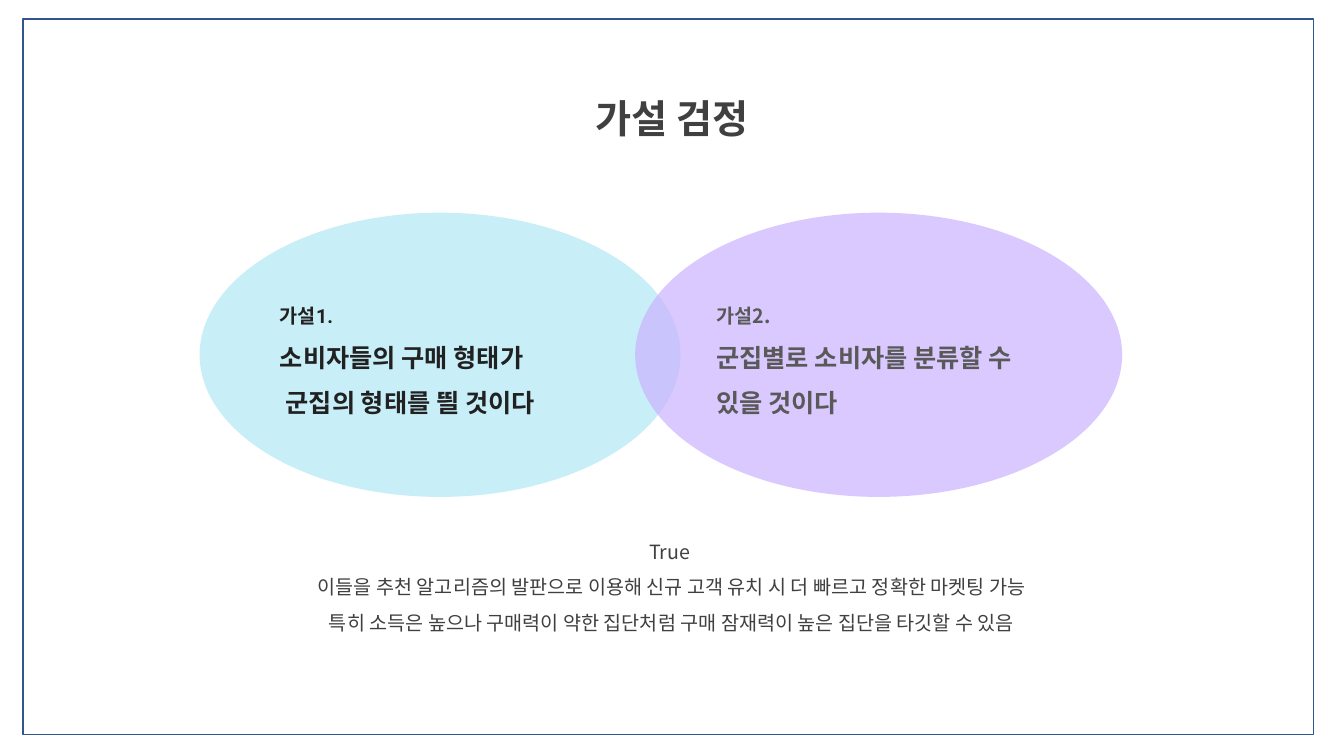
from dataclasses import dataclass

from lxml import etree
from pptx import Presentation
from pptx.dml.color import RGBColor
from pptx.enum.shapes import MSO_SHAPE as SHAPE
from pptx.enum.text import MSO_ANCHOR as ANCHOR, PP_ALIGN as ALIGN
from pptx.oxml.ns import qn
from pptx.util import Inches, Pt


@dataclass(frozen=True)
class Theme:
    font: str = "Noto Sans CJK KR"
    latin_font: str = "Roboto"
    text: str = "404040"
    first_text: str = "212121"
    second_text: str = "595959"
    first_fill: str = "C8EFF8"
    second_fill: str = "CBB3FF"
    frame: str = "325491"
    title_size: int = 28
    statement_size: int = 18
    body_size: int = 14
    line_spacing: float = 1.5


class SlideBuilder:
    def __init__(self, slide, theme):
        self.slide = slide
        self.theme = theme

    def fill_text(self, tf, lines, color, align, bold=False, font=None):
        """Fill a text frame with (text, size) pairs, one paragraph each."""
        tf.word_wrap = True
        for i, (text, size) in enumerate(lines):
            p = tf.add_paragraph() if i else tf.paragraphs[0]
            p.alignment = align
            p.line_spacing = self.theme.line_spacing
            r = p.add_run()
            r.text = text
            r.font.name = font or self.theme.font
            r.font.size = Pt(size)
            r.font.bold = bold
            r.font.color.rgb = RGBColor.from_string(color)
            ea = etree.SubElement(r.font._element, qn("a:ea"))
            ea.set("typeface", self.theme.font)

    def text_box(self, box, lines, bold=False):
        sp = self.slide.shapes.add_textbox(*map(Inches, box))
        self.fill_text(sp.text_frame, lines, self.theme.text, ALIGN.CENTER, bold)

    def shape(self, kind, box):
        sp = self.slide.shapes.add_shape(kind, *map(Inches, box))
        sp.shadow.inherit = False
        return sp

    def ellipse(self, box, fill, lines, color, font=None, opacity=100):
        sp = self.shape(SHAPE.OVAL, box)
        sp.fill.solid()
        sp.fill.fore_color.rgb = RGBColor.from_string(fill)
        sp.line.fill.background()
        if opacity < 100:
            clr = sp._element.spPr.find(qn("a:solidFill")).find(qn("a:srgbClr"))
            etree.SubElement(clr, qn("a:alpha")).set("val", str(opacity * 1000))
        sp.text_frame.vertical_anchor = ANCHOR.MIDDLE
        self.fill_text(sp.text_frame, lines, color, ALIGN.LEFT, True, font)

    def frame(self, box):
        sp = self.shape(SHAPE.RECTANGLE, box)
        sp.fill.background()
        sp.line.color.rgb = RGBColor.from_string(self.theme.frame)
        sp.line.width = Pt(1)


def main():
    prs = Presentation()
    prs.slide_width, prs.slide_height = Inches(13.33), Inches(7.5)
    theme = Theme()
    s = SlideBuilder(prs.slides.add_slide(prs.slide_layouts[6]), theme)
    body, statement = theme.body_size, theme.statement_size

    s.text_box((4.35, 0.65, 4.63, 0.72), [("가설 검정", theme.title_size)], bold=True)
    s.text_box((2.5, 5.19, 8.33, 1.47), [
        ("True ", body),
        ("이들을 추천 알고리즘의 발판으로 이용해 신규 고객 유치 시 더 빠르고 정확한 마켓팅 가능", body),
        ("특히 소득은 높으나 구매력이 약한 집단처럼 구매 잠재력이 높은 집단을 타깃할 수 있음", body),
    ])
    s.ellipse((1.98, 2.11, 4.77, 2.82), theme.first_fill, [
        ("가설1.", body),
        ("소비자들의 구매 형태가", statement),
        (" 군집의 형태를 띌 것이다", statement),
    ], theme.first_text, font=theme.latin_font)
    s.ellipse((6.3, 2.11, 4.83, 2.82), theme.second_fill, [
        ("가설2.", body),
        ("군집별로 소비자를 분류할 수 있을 것이다", statement),
    ], theme.second_text, opacity=71)
    s.frame((0.23, 0.19, 12.8, 7.1))

    prs.save("out.pptx")


if __name__ == "__main__":
    main()
